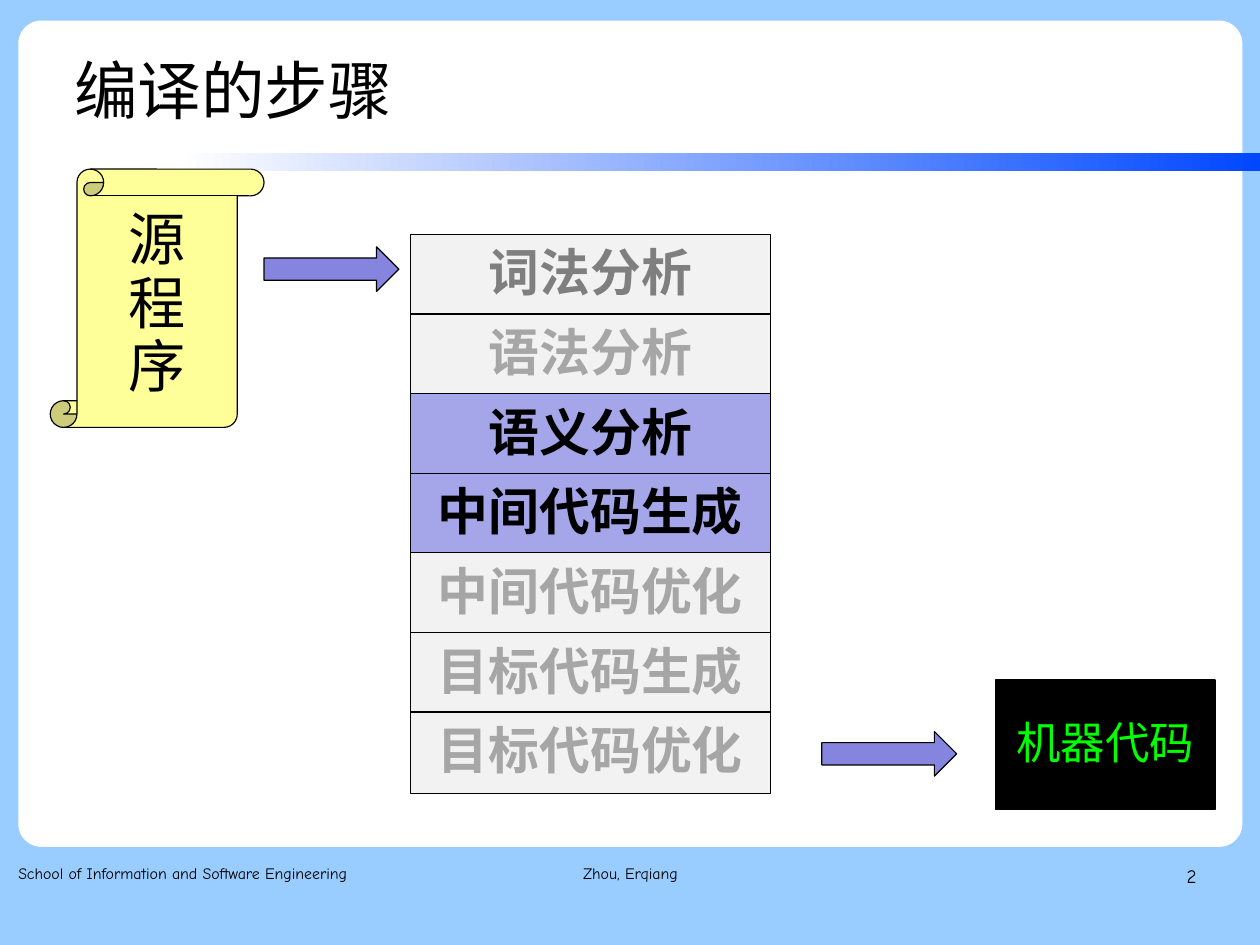
import pptx
import pptx.util
import pptx.dml.color
import pptx.enum.shapes
import pptx.enum.text
import pptx.oxml.ns
from lxml import etree

Inches = pptx.util.Inches
SHAPES = pptx.enum.shapes.MSO_SHAPE
ALIGN = pptx.enum.text.PP_ALIGN
ANCHOR = pptx.enum.text.MSO_ANCHOR
CM_PER_INCH = 2.54
CJK_FONT = "Noto Sans CJK SC"
LATIN_FONT = "Comic Neue"
FADED = ("F2F2F2", "A6A6A6")
ACTIVE = ("A5A5E9", "000000")
STEPS = [
    ("词法分析", ("F2F2F2", "7F7F7F")),
    ("语法分析", FADED),
    ("语义分析", ACTIVE),
    ("中间代码生成", ACTIVE),
    ("中间代码优化", FADED),
    ("目标代码生成", FADED),
    ("目标代码优化", FADED),
]


def rgb(color):
    return pptx.dml.color.RGBColor.from_string(color)


def write(frame, lines, size, color="000000", name=CJK_FONT, bold=False,
          align=ALIGN.CENTER, spacing=0.93, anchor=ANCHOR.MIDDLE):
    """Fill a text frame with one paragraph per line, all in one format."""
    frame.word_wrap = True
    frame.auto_size = pptx.enum.text.MSO_AUTO_SIZE.NONE
    frame.vertical_anchor = anchor
    frame.text = "\n".join(lines)
    for para in frame.paragraphs:
        para.alignment = align
        para.line_spacing = spacing
        para.font.size = pptx.util.Pt(size)
        para.font.bold = bold
        para.font.color.rgb = rgb(color)
        para.font.name = name
        defaults = para._p.pPr.find(pptx.oxml.ns.qn("a:defRPr"))
        east_asian = etree.SubElement(defaults, pptx.oxml.ns.qn("a:ea"))
        east_asian.set("typeface", name)


def add_block(slide, kind, box, fill=None, outlined=True):
    shape = slide.shapes.add_shape(kind, *map(Inches, box))
    shape.shadow.inherit = False
    if fill:
        shape.fill.solid()
        shape.fill.fore_color.rgb = rgb(fill)
    if outlined:
        shape.line.color.rgb = rgb("000000")
        shape.line.width = pptx.util.Pt(0.75)
    else:
        shape.line.fill.background()
    return shape


def add_backdrop(slide, box):
    """Draw the white panel and the fading bar that runs off its right side."""
    left, top, width, height = box
    slide.background.fill.solid()
    slide.background.fill.fore_color.rgb = rgb("99CCFF")
    panel = add_block(slide, SHAPES.ROUNDED_RECTANGLE, box, "FFFFFF", outlined=False)
    panel.adjustments[0] = 0.028
    bar_box = (left + 1.41, top + 1.16, width - 1.26, 0.16)
    bar = add_block(slide, SHAPES.RECTANGLE, bar_box, outlined=False)
    bar.fill.gradient()
    bar.fill.gradient_angle = 0
    for stop, color in zip(bar.fill.gradient_stops, ("FFFFFF", "0047FF")):
        stop.color.rgb = rgb(color)


def add_title(slide, box):
    title = slide.shapes.title
    title.left, title.top, title.width, title.height = map(Inches, box)
    write(title.text_frame, ["编译的步骤"], 40, align=ALIGN.LEFT, spacing=1.1,
          anchor=ANCHOR.TOP)


def add_steps(slide, box):
    left, top, width, height = box
    row_height = 0.71
    pitch = (height - row_height) / (len(STEPS) - 1)
    for row, (label, (fill, color)) in enumerate(STEPS):
        row_box = (left, top + row * pitch, width, row_height)
        step = add_block(slide, SHAPES.RECTANGLE, row_box, fill)
        write(step.text_frame, [label], 32, color, bold=True)


def add_source_program(slide, box):
    scroll = add_block(slide, SHAPES.VERTICAL_SCROLL, box, "FFFF99")
    scroll.adjustments[0] = 0.125
    write(scroll.text_frame, "源程序", 36)


def add_flow_arrow(slide, left, top):
    add_block(slide, SHAPES.RIGHT_ARROW, (left, top, 1.18, 0.39), "8585E0")


def add_machine_code(slide, box):
    target = add_block(slide, SHAPES.RECTANGLE, box, "000000")
    write(target.text_frame, ["机器代码"], 28, "00FF00")


def add_footer(slide, box):
    left, top, width, height = box
    parts = [
        ("School of Information and Software Engineering", 0, 3.38, 10, ALIGN.LEFT),
        ("Zhou, Erqiang", 3.61, 3.49, 10, ALIGN.CENTER),
        ("2", width - 2.57, 2.57, 12, ALIGN.RIGHT),
    ]
    for text, offset, part_width, size, align in parts:
        part_box = (left + offset, top, part_width, height)
        frame = slide.shapes.add_textbox(*map(Inches, part_box)).text_frame
        frame.margin_left = frame.margin_right = 0
        frame.margin_top = frame.margin_bottom = 0
        write(frame, [text], size, name=LATIN_FONT, align=align, spacing=1.16,
              anchor=ANCHOR.TOP)


def main():
    deck = pptx.Presentation()
    deck.slide_width = Inches(28 / CM_PER_INCH)
    deck.slide_height = Inches(21 / CM_PER_INCH)
    slide = deck.slides.add_slide(deck.slide_layouts.get_by_name("Title Only"))
    add_backdrop(slide, (0.16, 0.18, 10.71, 7.23))
    add_title(slide, (0.55, 0.33, 8.58, 1.01))
    add_steps(slide, (3.59, 2.05, 3.15, 4.89))
    add_source_program(slide, (0.44, 1.48, 1.87, 2.26))
    add_flow_arrow(slide, 2.31, 2.16)
    add_flow_arrow(slide, 7.19, 6.4)
    add_machine_code(slide, (8.71, 5.95, 1.92, 1.13))
    add_footer(slide, (0.16, 7.53, 10.31, 0.57))
    # The title comes first in the tree, so lift it above the white panel.
    slide.shapes._spTree.append(slide.shapes.title._element)
    deck.save("out.pptx")


if __name__ == "__main__":
    main()
